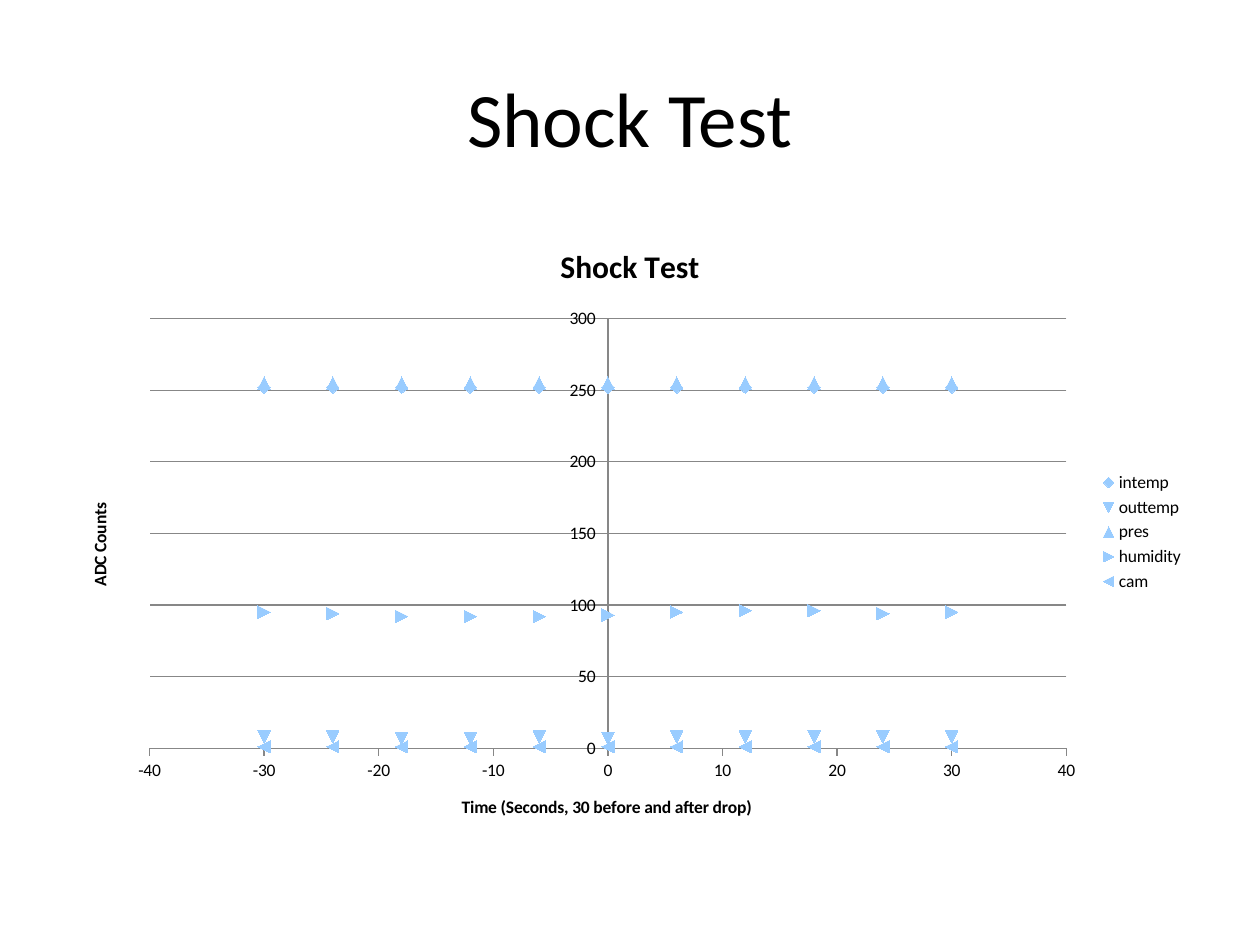
from pptx import Presentation
from pptx.chart.data import XyChartData
from pptx.dml.color import RGBColor
from pptx.enum.chart import XL_CHART_TYPE, XL_LEGEND_POSITION, XL_TICK_MARK
from pptx.enum.text import MSO_ANCHOR, PP_ALIGN
from pptx.util import Emu, Pt

PX = 914400 // 126
FONT = "Calibri"
BLACK = RGBColor(0x00, 0x00, 0x00)
GREY = RGBColor(0x87, 0x87, 0x87)
LIGHT_BLUE = RGBColor(0x99, 0xCC, 0xFF)

HEADING = "Shock Test"
TIME_TITLE = "Time (Seconds, 30 before and after drop)"
COUNTS_TITLE = "ADC Counts"
SECONDS = range(-30, 31, 6)
READINGS = {
    "intemp": [252] * 11,
    "outtemp": [8, 8, 7, 7, 8, 7, 8, 8, 8, 8, 8],
    "pres": [255] * 11,
    "humidity": [95, 94, 92, 92, 92, 93, 95, 96, 96, 94, 95],
    "cam": [1] * 11,
}
TITLE_BOX = (63, 38, 1134, 157)
CHART_BOX = (63, 220, 1134, 624)


def scaled(box):
    return [Emu(length * PX) for length in box]


def style_font(font, size, bold=False):
    font.name = FONT
    font.size = Pt(size)
    font.bold = bold
    font.color.rgb = BLACK


def write(frame, text, size, bold=False, align=PP_ALIGN.CENTER):
    frame.text = text
    paragraph = frame.paragraphs[0]
    paragraph.alignment = align
    style_font(paragraph.runs[0].font, size, bold)


def style_axis(axis, title, low, high, step):
    axis.minimum_scale, axis.maximum_scale, axis.major_unit = low, high, step
    axis.major_tick_mark = XL_TICK_MARK.OUTSIDE
    axis.minor_tick_mark = XL_TICK_MARK.NONE
    axis.format.line.color.rgb = GREY
    axis.format.line.width = Pt(0.75)
    style_font(axis.tick_labels.font, 10)
    write(axis.axis_title.text_frame, title, 10, bold=True)


def add_readings_chart(slide):
    readings = XyChartData()
    for sensor, counts in READINGS.items():
        series = readings.add_series(sensor)
        for second, count in zip(SECONDS, counts):
            series.add_data_point(second, count)
    chart = slide.shapes.add_chart(
        XL_CHART_TYPE.XY_SCATTER, *scaled(CHART_BOX), readings).chart
    style_font(chart.font, 10)
    chart.has_title = True
    write(chart.chart_title.text_frame, HEADING, 18, bold=True)
    chart.chart_title.include_in_layout = False

    style_axis(chart.category_axis, TIME_TITLE, -40, 40, 10)
    style_axis(chart.value_axis, COUNTS_TITLE, 0, 300, 50)
    chart.category_axis.has_major_gridlines = False
    chart.value_axis.has_major_gridlines = True
    gridline = chart.value_axis.major_gridlines.format.line
    gridline.color.rgb = GREY
    gridline.width = Pt(0.75)

    chart.has_legend = True
    chart.legend.position = XL_LEGEND_POSITION.RIGHT
    chart.legend.include_in_layout = False
    style_font(chart.legend.font, 10)

    plot = chart.plots[0]
    plot.vary_by_categories = False
    for series in plot.series:
        series.smooth = False
        series.format.line.fill.background()
        series.marker.size = 7
        series.marker.format.fill.solid()
        series.marker.format.fill.fore_color.rgb = LIGHT_BLUE
        series.marker.format.line.fill.background()


def main():
    deck = Presentation()
    deck.slide_width, deck.slide_height = scaled((1260, 945))
    slide = deck.slides.add_slide(deck.slide_layouts[5])
    title = slide.shapes.title
    title.left, title.top, title.width, title.height = scaled(TITLE_BOX)
    title.text_frame.vertical_anchor = MSO_ANCHOR.MIDDLE
    write(title.text_frame, HEADING, 44)
    add_readings_chart(slide)
    deck.save("out.pptx")


if __name__ == "__main__":
    main()
